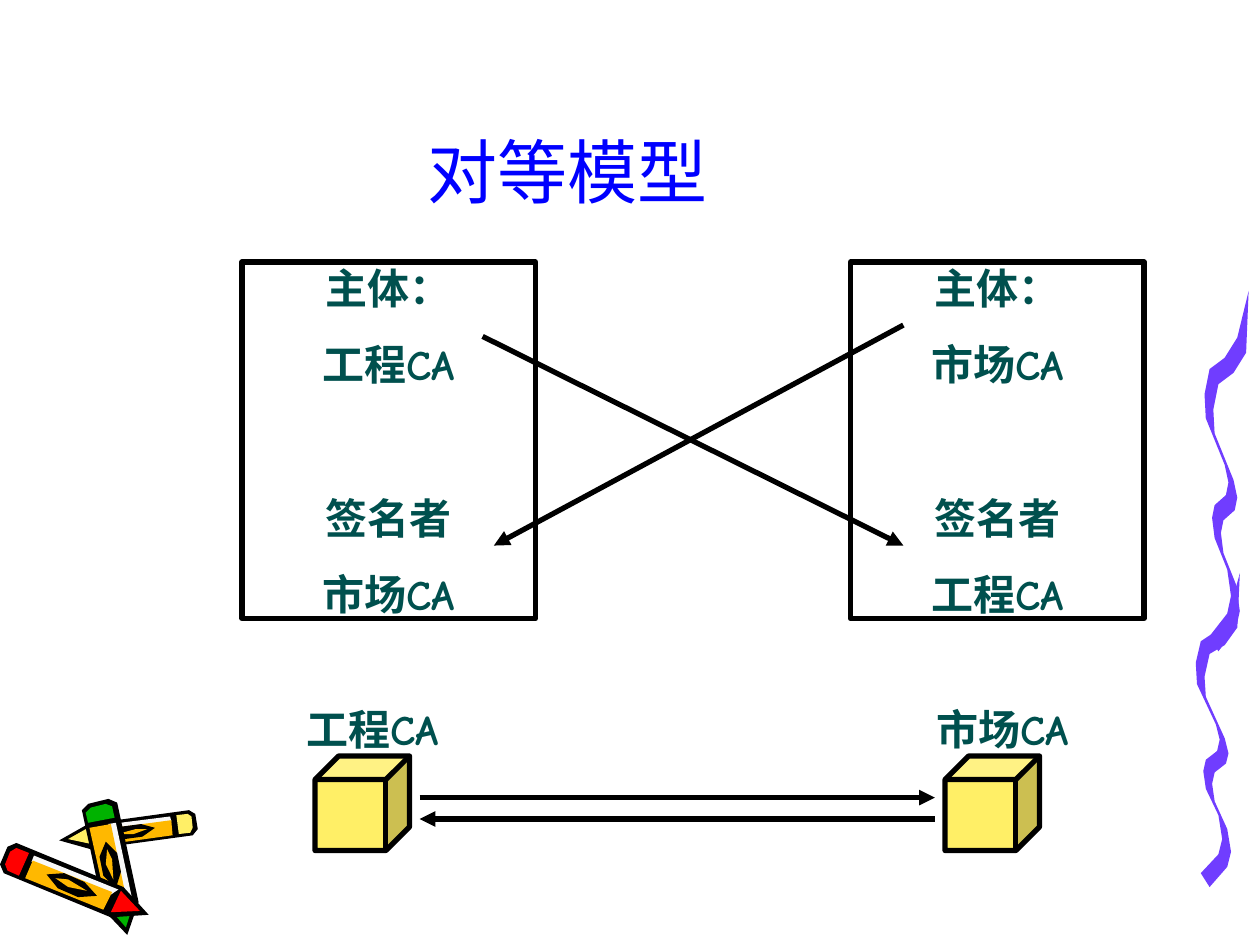
import math

import pptx
import pptx.dml.color
import pptx.enum.shapes
import pptx.enum.text
import pptx.oxml
import pptx.oxml.ns
import pptx.util

PX = 9144  # EMU per px, 100 px to the inch
COLORS = {
    "title": "0000FF", "text": "00504E", "black": "000000", "white": "F8F8F8",
    "yellow": "FFEF66", "red": "FF0000", "orange": "FFB800", "green": "00B200",
    "ribbon": "703DFF",
}
FONT = "Comic Neue"
TITLE_FONT = {"name": FONT, "size": pptx.util.Pt(40), "bold": False}
BODY_FONT = {"name": FONT, "size": pptx.util.Pt(24), "bold": True}
MARGINS = ("margin_left", "margin_top", "margin_right", "margin_bottom")
TIGHT_FRAME = {"word_wrap": True, "vertical_anchor": pptx.enum.text.MSO_ANCHOR.TOP,
               **dict.fromkeys(MARGINS, 0)}
TITLE_FRAME = {"word_wrap": True, "vertical_anchor": pptx.enum.text.MSO_ANCHOR.BOTTOM,
               "auto_size": pptx.enum.text.MSO_AUTO_SIZE.NONE}
SHAPES = pptx.enum.shapes.MSO_SHAPE
GAP = 15       # points between lines
WIDE_GAP = 59  # points between subject and signer

# Parts of any crayon: (along, across), 0 to 100 from back to tip, -10 to 10 across
CRAYON_PARTS = [
    ("black", [(0, -6), (4, -10), (78, -10), (100, 0), (78, 10), (4, 10), (0, 6)]),
    ("accent", [(3, -4), (6, -7), (14, -7), (14, 8), (6, 8), (3, 5)]),
    ("white", [(18, -7), (76, -7), (73, -3), (18, -3)]),
    ("orange", [(18, -4), (73, -4), (72, 8), (18, 8)]),
    ("accent", [(78, -7), (94, 0), (77, 7)]),
    ("black", [(30, 1), (40, -4), (54, -4), (65, 1), (54, 6), (40, 6)]),
    ("orange", [(36, 1), (44, -1), (58, 1), (46, 3)]),
]
# Back, tip, half width (a negative one puts the shine on the other side), accent
CRAYONS = [
    ((156, 652), (47, 667), -10, "yellow"),
    ((78, 636), (101, 742), 14, "green"),
    ((3, 679), (118, 726), 13, "red"),
]
# Bends of a strand from its top end, and the slanted nib that sweeps along them
BENDS = [(35, 0), (26, 37), (16, 53), (4, 62), (0, 82), (1, 101), (16, 138), (19, 152),
         (17, 162), (8, 170), (6, 180), (8, 196), (18, 221), (21, 242), (18, 256), (4, 274)]
NIB = (7, 12)
# Left, top and vertical scale
STRANDS = [(949, 455, 0.87), (956, 231, 1)]


def rgb(name):
    return pptx.dml.color.RGBColor.from_string(COLORS[name])


def apply_format(target, values):
    for name, value in values.items():
        setattr(target, name, value)


def box(*lengths):
    return [n * PX for n in lengths]


def fill_shape(sp, color):
    sp.shadow.inherit = False
    sp.fill.solid()
    sp.fill.fore_color.rgb = rgb(color)


def outline(sp):
    sp.line.color.rgb = rgb("black")
    sp.line.width = pptx.util.Pt(3)


def add_polygon(group, points, color):
    points = [(round(x), round(y)) for x, y in points]
    builder = group.shapes.build_freeform(*points[0], scale=PX)
    builder.add_line_segments(points[1:], close=True)
    sp = builder.convert_to_shape()
    fill_shape(sp, color)
    sp.line.fill.background()


def add_crayon(group, back, tip, half_width, accent):
    """Turn and stretch the crayon parts onto the axis from back to tip."""
    dx, dy = tip[0] - back[0], tip[1] - back[1]
    across = half_width / 10 / math.hypot(dx, dy)
    for color, part in CRAYON_PARTS:
        points = [(back[0] + u / 100 * dx - v * across * dy,
                   back[1] + u / 100 * dy + v * across * dx) for u, v in part]
        add_polygon(group, points, accent if color == "accent" else color)


def add_strand(group, left, top, scale):
    """Sweep the nib down the bends: one edge down, the shifted edge back up."""
    swept = [(x + NIB[0], y + NIB[1]) for x, y in BENDS[1:]]
    points = [(left + x, top + y * scale) for x, y in BENDS + swept[::-1]]
    add_polygon(group, points, "ribbon")


def add_decoration(s, add_item, items):
    group = s.shapes.add_group_shape()
    for item in items:
        add_item(group, *item)


def write_paragraph(p, text, font, color):
    p.alignment = pptx.enum.text.PP_ALIGN.CENTER
    r = p.add_run()
    r.text = text
    apply_format(r.font, font)
    r.font.color.rgb = rgb(color)


def write_lines(sp, lines):
    """Fill a shape with (text, space before in points) lines."""
    tf = sp.text_frame
    apply_format(tf, TIGHT_FRAME)
    for i, (text, gap) in enumerate(lines):
        p = tf.add_paragraph() if i else tf.paragraphs[0]
        p.space_before = pptx.util.Pt(gap)
        write_paragraph(p, text, BODY_FONT, "text")


def add_title(s, text):
    sp = s.shapes.title
    apply_format(sp, dict(zip(("left", "top", "width", "height"), box(75, 17, 751, 157))))
    apply_format(sp.text_frame, TITLE_FRAME)
    write_paragraph(sp.text_frame.paragraphs[0], text, TITLE_FONT, "title")


def add_certificate(s, x, subject, signer):
    sp = s.shapes.add_shape(SHAPES.RECTANGLE, *box(x, 208, 233, 283))
    sp.shadow.inherit = False
    sp.fill.background()
    outline(sp)
    write_lines(sp, [("主体：", 0), (subject, GAP), ("签名者", WIDE_GAP), (signer, GAP)])


def add_authority(s, x, name):
    """Add a cube with its label above."""
    sp = s.shapes.add_shape(SHAPES.CUBE, *box(x, 600, 75, 75))
    fill_shape(sp, "yellow")
    outline(sp)
    label = s.shapes.add_textbox(*box(x - 42, 558, 175, 40))
    write_lines(label, [(name, 0)])


def add_arrow(s, *ends):
    line = s.shapes.add_connector(pptx.enum.shapes.MSO_CONNECTOR.STRAIGHT, *box(*ends))
    outline(line)
    ns = pptx.oxml.ns.nsdecls("a")
    line.get_or_add_ln().append(pptx.oxml.parse_xml(f'<a:tailEnd {ns} type="triangle"/>'))
    line._element.spPr.append(pptx.oxml.parse_xml(f"<a:effectLst {ns}/>"))


def main():
    prs = pptx.Presentation()
    prs.slide_width, prs.slide_height = box(1000, 750)
    s = prs.slides.add_slide(prs.slide_layouts[5])
    add_decoration(s, add_crayon, CRAYONS)
    add_decoration(s, add_strand, STRANDS)
    add_title(s, "对等模型")
    engineering, market = "工程CA", "市场CA"
    add_certificate(s, 192, engineering, market)
    add_certificate(s, 675, market, engineering)
    add_authority(s, 250, engineering)
    add_authority(s, 750, market)
    signatures = [(383, 267, 717, 433), (717, 258, 392, 433)]
    exchanges = [(333, 633, 742, 633), (742, 650, 333, 650)]
    for ends in signatures + exchanges:
        add_arrow(s, *ends)
    prs.save("out.pptx")


if __name__ == "__main__":
    main()
